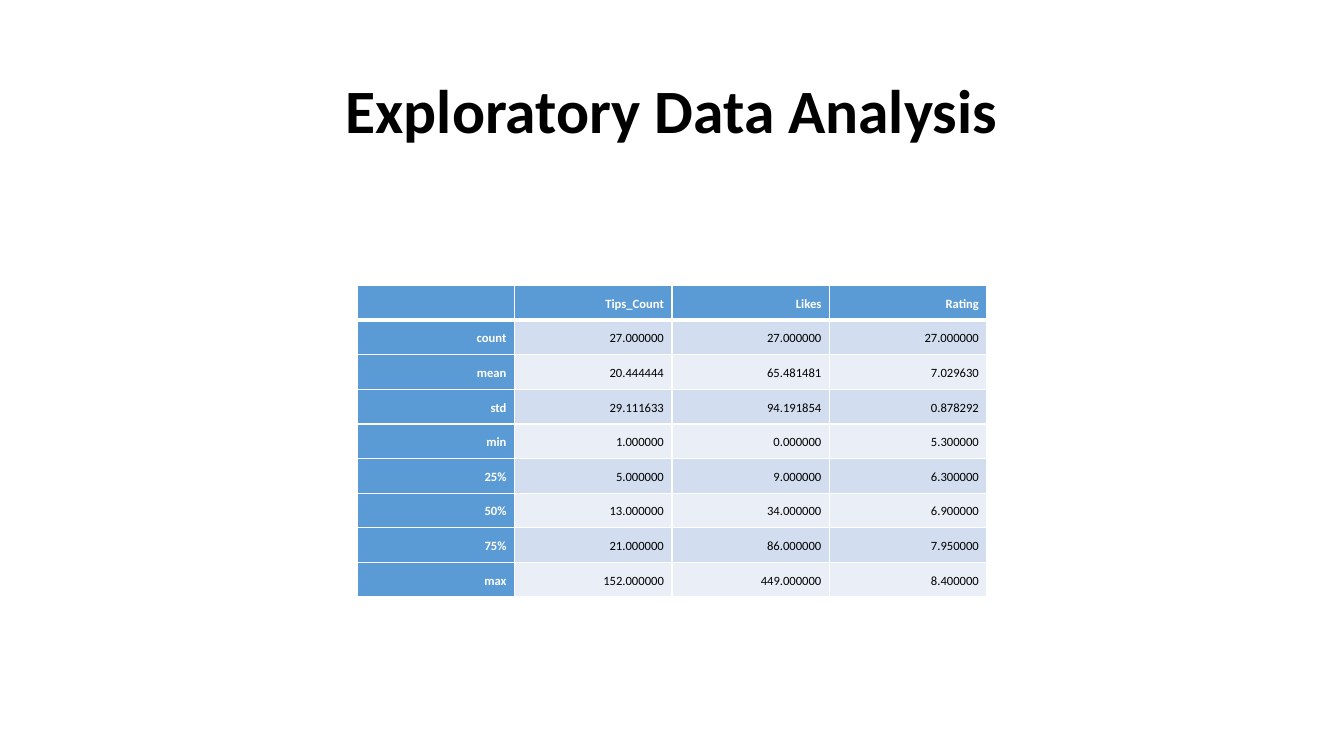
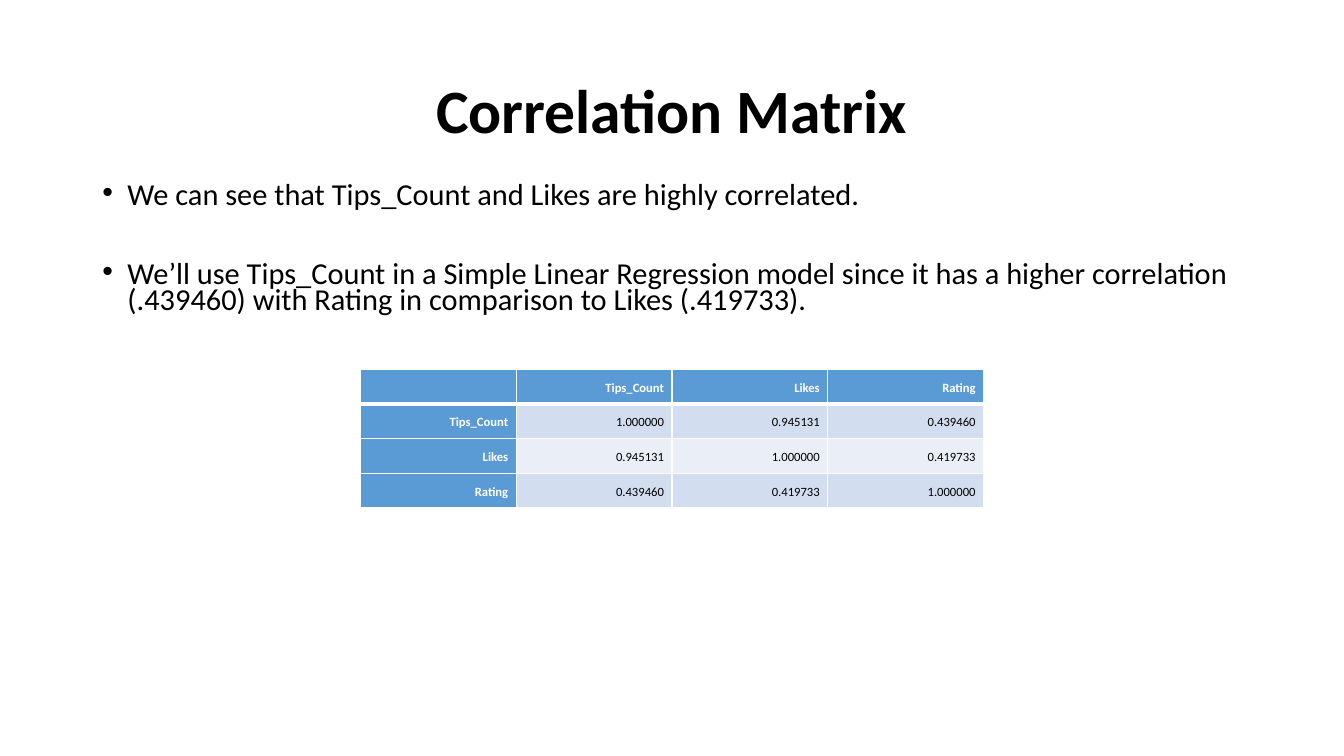
from lxml import etree
from pptx import Presentation
from pptx.dml.color import RGBColor
from pptx.enum.text import MSO_ANCHOR, PP_ALIGN
from pptx.oxml.ns import qn
from pptx.util import Inches, Pt

LEFT, CENTER, RIGHT = PP_ALIGN.LEFT, PP_ALIGN.CENTER, PP_ALIGN.RIGHT
TOP, MIDDLE = MSO_ANCHOR.TOP, MSO_ANCHOR.MIDDLE

# Shared style; the slide is a grid of square units
FONT = "Calibri"
COLORS = {"text": "000000", "white": "FFFFFF", "head": "5B9BD5",
          "odd": "D2DEEF", "even": "EAEFF7"}
COLS, ROWS = 80, 45
UNIT = Inches(1) / 6
MARGIN = 5.5
ROW_HEIGHT = 2.06
CELL_INSET = Inches(0.08)

STATS_HEADER = ["", "Tips_Count", "Likes", "Rating"]
STATS = [
    ["count", "27.000000", "27.000000", "27.000000"],
    ["mean", "20.444444", "65.481481", "7.029630"],
    ["std", "29.111633", "94.191854", "0.878292"],
    ["min", "1.000000", "0.000000", "5.300000"],
    ["25%", "5.000000", "9.000000", "6.300000"],
    ["50%", "13.000000", "34.000000", "6.900000"],
    ["75%", "21.000000", "86.000000", "7.950000"],
    ["max", "152.000000", "449.000000", "8.400000"],
]
CORRELATIONS = [
    ["Tips_Count", "1.000000", "0.945131", "0.439460"],
    ["Likes", "0.945131", "1.000000", "0.419733"],
    ["Rating", "0.439460", "0.419733", "1.000000"],
]
FINDINGS = [
    "We can see that Tips_Count and Likes are highly correlated.",
    "We’ll use Tips_Count in a Simple Linear Regression model since it has "
    "a higher correlation (.439460) with Rating in comparison to Likes (.419733).",
]


def units(n):
    return round(n * UNIT)


def rgb(name):
    return RGBColor.from_string(COLORS[name])


def write(p, text, size=18, color="text", bold=False, align=LEFT,
          spacing=1.0, before=0):
    """Fill one paragraph with formatted text."""
    p.alignment, p.line_spacing, p.space_before = align, spacing, Pt(before)
    if not text:
        # An empty cell keeps its row low only with a small end mark
        etree.SubElement(p._p, qn("a:endParaRPr"), sz=str(size * 100))
        return
    r = p.add_run()
    r.text = text
    r.font.name, r.font.size, r.font.bold = FONT, Pt(size), bold
    r.font.color.rgb = rgb(color)


def add_bullet(p, indent):
    pPr = p._p.get_or_add_pPr()
    pPr.set("marL", str(indent))
    pPr.set("indent", str(-indent))
    etree.SubElement(pPr, qn("a:buFont"), typeface="Arial")
    etree.SubElement(pPr, qn("a:buChar"), char="•")


def add_borders(cell, **widths):
    """Draw white cell edges; widths in points by side, in schema order."""
    tcPr = cell._tc.get_or_add_tcPr()
    for i, (side, width) in enumerate(widths.items()):
        ln = etree.Element(qn("a:ln" + side), w=str(Pt(width)))
        fill = etree.SubElement(ln, qn("a:solidFill"))
        etree.SubElement(fill, qn("a:srgbClr"), val=COLORS["white"])
        tcPr.insert(i, ln)


class Deck:
    def __init__(self):
        self.prs = Presentation()
        self.prs.slide_width = units(COLS)
        self.prs.slide_height = units(ROWS)
        self.s = None

    def slide(self, title):
        self.s = self.prs.slides.add_slide(self.prs.slide_layouts[6])
        tf = self.text_frame(2.4, 8.7, MIDDLE)
        write(tf.paragraphs[0], title, size=44, bold=True, align=CENTER,
              spacing=0.9)

    def text_frame(self, top, height, anchor):
        """Text box between the side margins."""
        sp = self.s.shapes.add_textbox(units(MARGIN), units(top),
                                       units(COLS - 2 * MARGIN), units(height))
        tf = sp.text_frame
        tf.word_wrap, tf.vertical_anchor = True, anchor
        return tf

    def bullets(self, items, top, height):
        tf = self.text_frame(top, height, TOP)
        for i, item in enumerate(items):
            p = tf.add_paragraph() if i else tf.paragraphs[0]
            write(p, item, size=21.7, spacing=0.7, before=38.5 if i else 10)
            add_bullet(p, Inches(0.25))

    def table(self, rows, top, width):
        """Centred table with header row, header column and row bands."""
        n_rows, n_cols = len(rows), len(rows[0])
        frame = self.s.shapes.add_table(
            n_rows, n_cols, units((COLS - width) / 2), units(top),
            units(width), units(ROW_HEIGHT * n_rows))
        table = frame.table
        for column in table.columns:
            column.width = units(width / n_cols)
        for i, values in enumerate(rows):
            table.rows[i].height = units(ROW_HEIGHT)
            for j, value in enumerate(values):
                self.cell(table.cell(i, j), value, i, j)

    def cell(self, cell, value, i, j):
        head = i == 0 or j == 0
        band = "head" if head else "odd" if i % 2 else "even"
        cell.fill.solid()
        cell.fill.fore_color.rgb = rgb(band)
        cell.vertical_anchor = MIDDLE
        cell.margin_left = cell.margin_right = CELL_INSET
        cell.margin_top = cell.margin_bottom = CELL_INSET
        write(cell.text_frame.paragraphs[0], value, size=9, bold=head,
              color="white" if head else "text", align=RIGHT,
              spacing=1.15, before=12)
        add_borders(cell, L=1, R=1, T=3 if i == 1 else 1, B=3 if i == 0 else 1)


def main():
    deck = Deck()

    # Summary statistics
    deck.slide("Exploratory Data Analysis")
    deck.table([STATS_HEADER] + STATS, top=17, width=37.5)

    # Correlations
    deck.slide("Correlation Matrix")
    deck.table([STATS_HEADER] + CORRELATIONS, top=22, width=37.1)
    deck.bullets(FINDINGS, top=10.7, height=8.9)

    deck.prs.save("out.pptx")


if __name__ == "__main__":
    main()
